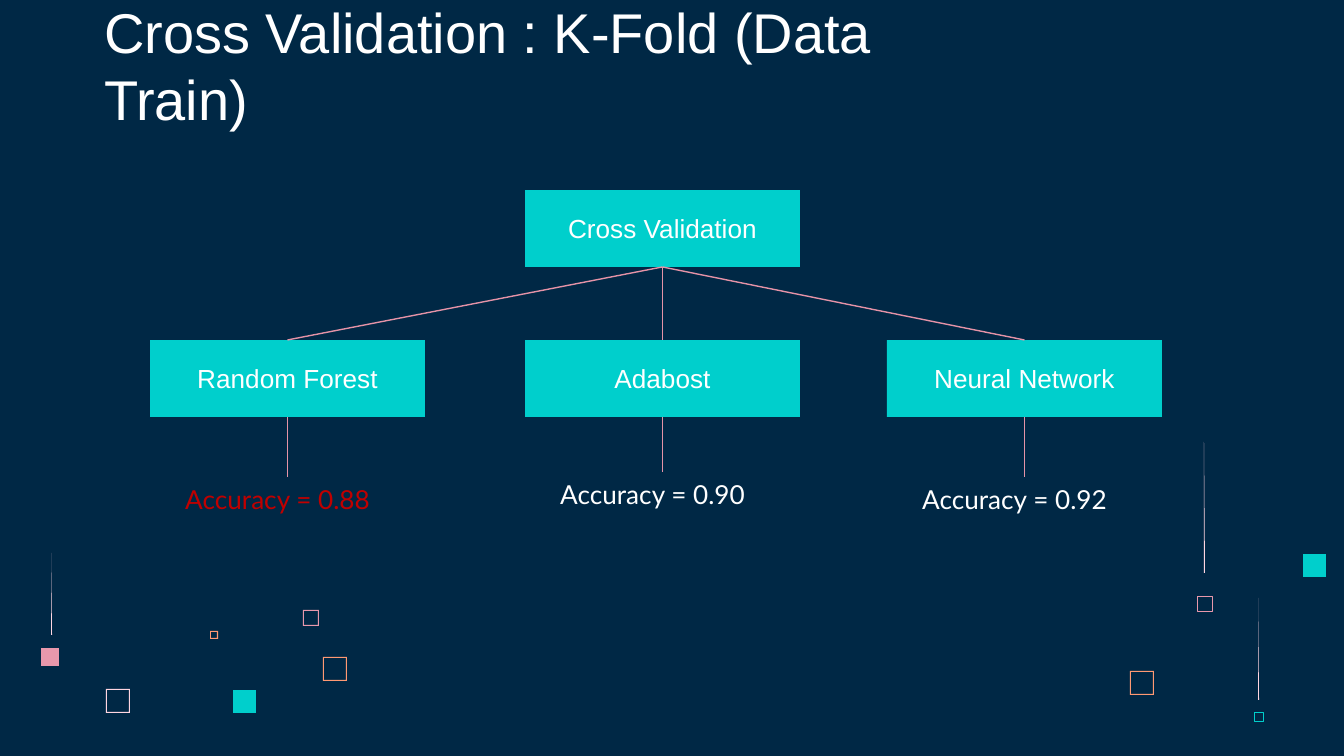
"""Build the K-fold cross validation slide: a tree of models with their accuracies."""
from lxml.etree import SubElement
from pptx import Presentation
from pptx.dml.color import RGBColor
from pptx.enum.shapes import MSO_CONNECTOR, MSO_SHAPE
from pptx.enum.text import MSO_ANCHOR, MSO_AUTO_SIZE, PP_ALIGN
from pptx.oxml.ns import qn
from pptx.util import Pt

EMU_PER_PX = 914400 / 134.4
SLIDE_WIDTH, SLIDE_HEIGHT = 1344, 756
BOX_WIDTH, BOX_HEIGHT = 275, 77
LABEL_WIDTH, LABEL_HEIGHT = 231, 46
ROOT_LEFT, ROOT_TOP, MODEL_TOP = 525, 190, 340
TOP, BOTTOM = 0, 2

NAVY = RGBColor(0x00, 0x28, 0x45)
WHITE = RGBColor(0xFF, 0xFF, 0xFF)
TEAL = RGBColor(0x00, 0xCF, 0xCC)
ROSE = RGBColor(0xE8, 0x98, 0xAC)
LINK_PINK = RGBColor(0xE5, 0x93, 0xA7)
PALE_PINK = RGBColor(0xFF, 0xD6, 0xE1)
ORANGE = RGBColor(0xFF, 0x99, 0x73)
RED = RGBColor(0xC0, 0x00, 0x00)

MODELS = [
    ("Random Forest", 150, "Accuracy = 0.88", 477, RED),
    ("Adabost", 525, "Accuracy = 0.90", 472, WHITE),
    ("Neural Network", 887, "Accuracy = 0.92", 477, WHITE),
]
FRAMES = [
    (106, 689, 24, PALE_PINK),
    (303, 610, 16, ROSE),
    (210, 631, 8, ORANGE),
    (323, 657, 24, ORANGE),
    (1130, 671, 24, ORANGE),
]
SOLID_SQUARES = [(233, 690, 23, TEAL), (41, 648, 18, ROSE), (1303, 554, 23, TEAL)]
OUTLINED_SQUARES = [(1197, 596, 15, ROSE), (1254, 712, 9, TEAL)]
STREAKS = [(1204, 442, 131), (51, 553, 82), (1258, 598, 102)]


def px(value):
    """Turn px into EMU."""
    return round(value * EMU_PER_PX)


def square_points(left, top, side):
    """Return the corners of a square."""
    right, bottom = left + side, top + side
    return [(left, top), (right, top), (right, bottom), (left, bottom)]


def add_outline(slide, contours, fill=None, line=None):
    """Draw closed contours as one freeform."""
    builder = slide.shapes.build_freeform(*contours[0][0], scale=EMU_PER_PX)
    for index, points in enumerate(contours):
        if index:
            builder.move_to(*points[0])
        builder.add_line_segments(points[1:], close=True)
    shape = builder.convert_to_shape()
    shape.shadow.inherit = False
    if fill is None:
        shape.fill.background()
    else:
        shape.fill.solid()
        shape.fill.fore_color.rgb = fill
    if line is None:
        shape.line.fill.background()
    else:
        shape.line.color.rgb = line
        shape.line.width = Pt(0.23)


def add_decorations(slide):
    """Scatter the squares and streaks along the lower edge."""
    for left, top, side, color in FRAMES:
        inner = square_points(left + 1, top + 1, side - 2)
        add_outline(slide, [inner[::-1], square_points(left, top, side)], fill=color)
    for left, top, side, color in SOLID_SQUARES:
        add_outline(slide, [square_points(left, top, side)], fill=color)
    for left, top, side, color in OUTLINED_SQUARES:
        add_outline(slide, [square_points(left, top, side)], line=color)
    for left, top, height in STREAKS:
        bottom = top + height
        add_outline(slide, [[(left, top), (left, bottom), (left + 1, bottom)]], fill=PALE_PINK)


def write_text(paragraph, text, size, font_name, color):
    """Add one formatted run."""
    run = paragraph.add_run()
    run.text = text
    run.font.size = Pt(size)
    run.font.name = font_name
    run.font.color.rgb = color


def add_title(slide, text):
    """Place and fill the title placeholder."""
    title = slide.shapes.title
    title.left, title.top, title.width, title.height = px(91), px(60), px(868), px(85)
    frame = title.text_frame
    frame.word_wrap = True
    frame.auto_size = MSO_AUTO_SIZE.NONE
    frame.vertical_anchor = MSO_ANCHOR.BOTTOM
    frame.margin_left = frame.margin_right = px(13)
    frame.margin_top = frame.margin_bottom = px(13)
    paragraph = frame.paragraphs[0]
    paragraph.alignment = PP_ALIGN.LEFT
    paragraph.line_spacing = Pt(36)
    write_text(paragraph, text, 30, "Arial", WHITE)


def add_box(slide, text, left, top):
    """Add a teal box with centred text."""
    box = slide.shapes.add_shape(
        MSO_SHAPE.RECTANGLE, px(left), px(top), px(BOX_WIDTH), px(BOX_HEIGHT))
    box.shadow.inherit = False
    box.fill.solid()
    box.fill.fore_color.rgb = TEAL
    box.line.fill.background()
    box.text_frame.vertical_anchor = MSO_ANCHOR.MIDDLE
    paragraph = box.text_frame.paragraphs[0]
    paragraph.alignment = PP_ALIGN.CENTER
    write_text(paragraph, text, 14, "Arial", WHITE)
    return box


def add_label(slide, text, left, top, color):
    """Add an accuracy label."""
    label = slide.shapes.add_textbox(px(left), px(top), px(LABEL_WIDTH), px(LABEL_HEIGHT))
    label.text_frame.word_wrap = False
    label.text_frame.auto_size = MSO_AUTO_SIZE.SHAPE_TO_FIT_TEXT
    write_text(label.text_frame.paragraphs[0], text, 14, "Lato", color)
    return label


def add_link(slide, upper, lower):
    """Join the bottom of one shape to the top of another."""
    link = slide.shapes.add_connector(MSO_CONNECTOR.STRAIGHT, 0, 0, 0, 0)
    link.begin_connect(upper, BOTTOM)
    link.end_connect(lower, TOP)
    link.line.color.rgb = LINK_PINK
    link.line.width = Pt(0.75)
    SubElement(link._element.spPr, qn("a:effectLst"))


def main():
    """Build and save the slide."""
    presentation = Presentation()
    presentation.slide_width = px(SLIDE_WIDTH)
    presentation.slide_height = px(SLIDE_HEIGHT)
    slide = presentation.slides.add_slide(presentation.slide_layouts.get_by_name("Title Only"))
    slide.background.fill.solid()
    slide.background.fill.fore_color.rgb = NAVY

    add_decorations(slide)
    add_title(slide, "Cross Validation : K-Fold (Data Train)")
    root = add_box(slide, "Cross Validation", ROOT_LEFT, ROOT_TOP)
    label_inset = (BOX_WIDTH - LABEL_WIDTH) // 2
    for name, left, accuracy, label_top, color in MODELS:
        model = add_box(slide, name, left, MODEL_TOP)
        label = add_label(slide, accuracy, left + label_inset, label_top, color)
        add_link(slide, root, model)
        add_link(slide, model, label)
    presentation.save("out.pptx")


if __name__ == "__main__":
    main()
